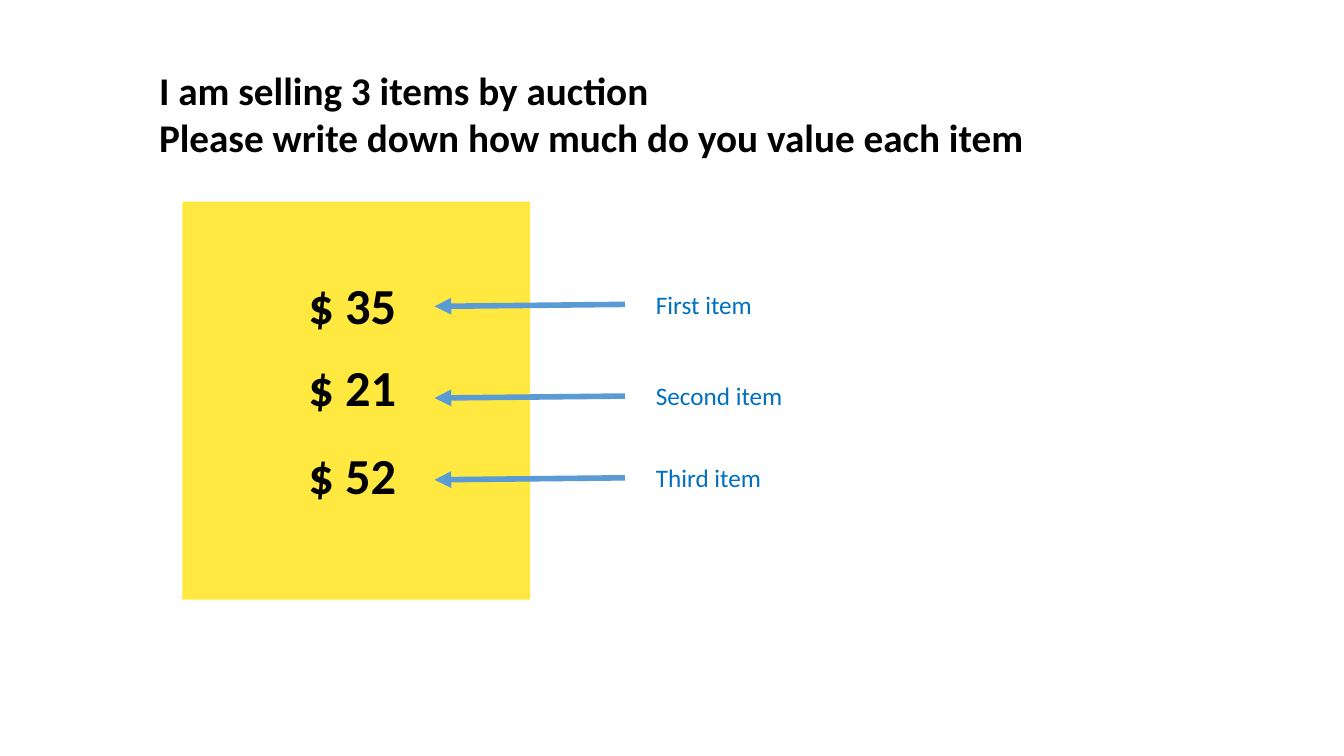
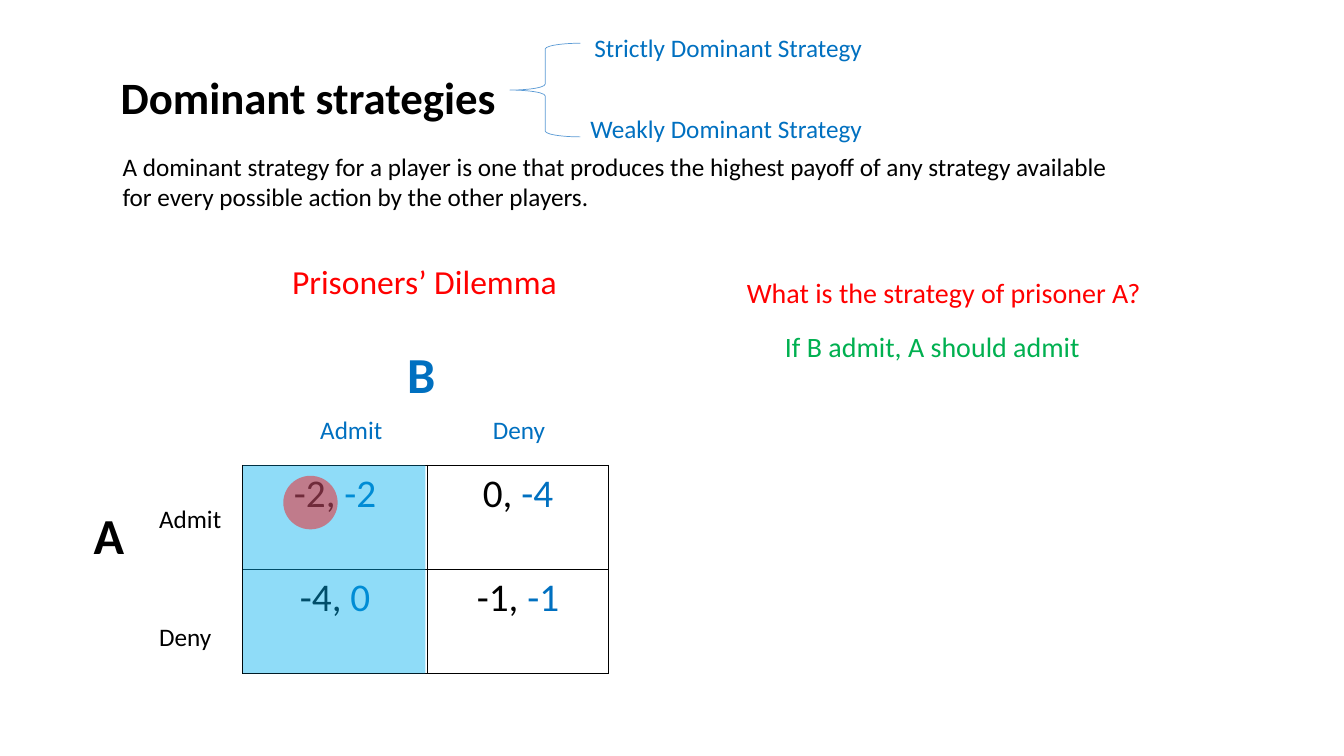
from pptx import Presentation
from pptx.dml.color import RGBColor
from pptx.enum import shapes, text
from pptx.oxml import ns, xmlchemy
from pptx.util import Cm, Pt

BLACK = RGBColor(0x00, 0x00, 0x00)
BLUE = RGBColor(0x00, 0x70, 0xC0)
LINE_BLUE = RGBColor(0x5B, 0x9B, 0xD5)
SKY = RGBColor(0x00, 0xB0, 0xF0)
RED = RGBColor(0xFF, 0x00, 0x00)
GREEN = RGBColor(0x00, 0xB0, 0x50)
YELLOW = RGBColor(0xFF, 0xE9, 0x41)


def add_xml(parent, tag, **attributes):
    child = xmlchemy.OxmlElement(tag)
    for name, value in attributes.items():
        child.set(name, str(value))
    parent.append(child)
    return child


class Deck:
    """Holds the presentation, its text style and the current slide."""

    font = "Calibri"

    def __init__(self):
        self.presentation = Presentation()
        self.presentation.slide_width = Cm(33.87)
        self.presentation.slide_height = Cm(19.05)
        self.slide = None

    def new_slide(self):
        blank = self.presentation.slide_layouts[6]
        self.slide = self.presentation.slides.add_slide(blank)

    def add_run(self, paragraph, words, size, color, bold=False):
        run = paragraph.add_run()
        run.text = words
        run.font.name = self.font
        run.font.size = Pt(size)
        run.font.bold = bold
        run.font.color.rgb = color

    def text(self, box, lines, size=18, color=BLACK, bold=False, wrap=True):
        """Add a text box with one paragraph for each line."""
        frame = self.slide.shapes.add_textbox(*map(Cm, box)).text_frame
        frame.word_wrap = wrap
        frame.auto_size = text.MSO_AUTO_SIZE.SHAPE_TO_FIT_TEXT
        for index, line in enumerate(lines.split("\n")):
            paragraph = frame.add_paragraph() if index else frame.paragraphs[0]
            self.add_run(paragraph, line, size, color, bold)

    def block(self, kind, box, color, opacity=100):
        """Add a filled shape without an outline."""
        shape = self.slide.shapes.add_shape(kind, *map(Cm, box))
        shape.shadow.inherit = False
        shape.line.fill.background()
        shape.fill.solid()
        shape.fill.fore_color.rgb = color
        if opacity < 100:
            color_element = shape.fill._xPr.find(ns.qn("a:solidFill"))[0]
            add_xml(color_element, "a:alpha", val=opacity * 1000)

    def brace(self, box):
        shape = self.slide.shapes.add_shape(
            shapes.MSO_SHAPE.LEFT_BRACE, *map(Cm, box))
        shape.shadow.inherit = False
        shape.fill.background()
        shape.line.color.rgb = LINE_BLUE
        shape.line.width = Pt(0.5)

    def arrow(self, start, end):
        connector = self.slide.shapes.add_connector(
            shapes.MSO_CONNECTOR.STRAIGHT, *map(Cm, start + end))
        connector.line.color.rgb = LINE_BLUE
        connector.line.width = Pt(4)
        add_xml(connector.line._get_or_add_ln(), "a:tailEnd", type="triangle")
        add_xml(connector._element.spPr, "a:effectLst")

    def payoff_table(self, box, column_widths, payoffs, size=28):
        """Add a bordered table whose cells hold a (row, column) payoff pair."""
        table = self.slide.shapes.add_table(
            len(payoffs), len(column_widths), *map(Cm, box)).table
        table.first_row = table.horz_banding = False
        for column, width in zip(table.columns, column_widths):
            column.width = Cm(width)
        for row_index, row in enumerate(payoffs):
            for column_index, (own, other) in enumerate(row):
                cell = table.cell(row_index, column_index)
                self.border(cell)
                cell.fill.background()
                paragraph = cell.text_frame.paragraphs[0]
                paragraph.alignment = text.PP_ALIGN.CENTER
                self.add_run(paragraph, own + ", ", size, BLACK)
                self.add_run(paragraph, other, size, BLUE)

    def border(self, cell):
        properties = cell._tc.get_or_add_tcPr()
        for side in "LRTB":
            line = add_xml(properties, "a:ln" + side, w=Pt(1))
            fill = add_xml(line, "a:solidFill")
            add_xml(fill, "a:srgbClr", val=BLACK)


def auction_slide(deck):
    deck.new_slide()
    deck.block(shapes.MSO_SHAPE.RECTANGLE, (4.6, 5.08, 8.76, 10.03), YELLOW)
    deck.text((3.76, 1.55, 25.45, 2.64),
              "I am selling 3 items by auction\n"
              "Please write down how much do you value each item",
              size=28, bold=True)
    items = (("$ 35", 6.78, "First item", 7.67),
             ("$ 21", 8.84, "Second item", 9.98),
             ("$ 52", 11.07, "Third item", 12.04))
    for price, price_top, label, arrow_y in items:
        deck.text((7.52, price_top, 4.19, 1.8), price, size=36, bold=True)
        deck.arrow((15.75, arrow_y), (10.95, arrow_y + 0.05))
        deck.text((16.28, arrow_y - 0.51, 4.72, 1.02), label, color=BLUE)


def dominance_slide(deck):
    deck.new_slide()
    deck.text((2.79, 1.63, 10.06, 1.63), "Dominant strategies",
              size=32, bold=True, wrap=False)
    deck.text((2.84, 3.68, 26.16, 1.8),
              "A dominant strategy for a player is one that produces the "
              "highest payoff of any strategy available for every possible "
              "action by the other players.")
    deck.brace((12.85, 1.09, 1.78, 2.36))
    deck.text((14.73, 0.69, 7.72, 1.02), "Strictly Dominant Strategy", color=BLUE)
    deck.text((14.63, 2.74, 7.72, 1.02), "Weakly Dominant Strategy", color=BLUE)

    deck.text((7.11, 6.45, 7.24, 1.27), "Prisoners’ Dilemma",
              size=24, color=RED, wrap=False)
    left, top, height = 6.12, 11.73, 5.24
    deck.payoff_table((left, top, 9.22, height), (4.65, 4.57),
                      ((("-2", "-2"), ("0", "-4")),
                       (("-4", "0"), ("-1", "-1"))))
    deck.text((2.11, 12.57, 1.45, 1.8), "A", size=36, bold=True)
    deck.text((10.01, 8.51, 1.45, 1.8), "B", size=36, color=BLUE, bold=True)
    for action, column_left, row_top in (("Admit", 7.82, 12.57),
                                         ("Deny", 12.17, 15.52)):
        deck.text((column_left, 10.31, 2.18, 1.02), action, color=BLUE)
        deck.text((3.76, row_top, 2.18, 1.02), action)
    deck.block(shapes.MSO_SHAPE.RECTANGLE, (left, top, 4.6, height), SKY, 44)
    deck.block(shapes.MSO_SHAPE.OVAL, (7.14, 11.99, 1.37, 1.35), RED, 44)

    deck.text((18.57, 6.83, 14.02, 1.12),
              "What is the strategy of prisoner A?", size=20, color=RED)
    deck.text((19.53, 8.18, 14.02, 1.12),
              "If B admit, A should admit", size=20, color=GREEN)


def main():
    deck = Deck()
    auction_slide(deck)
    dominance_slide(deck)
    deck.presentation.save("out.pptx")


if __name__ == "__main__":
    main()
